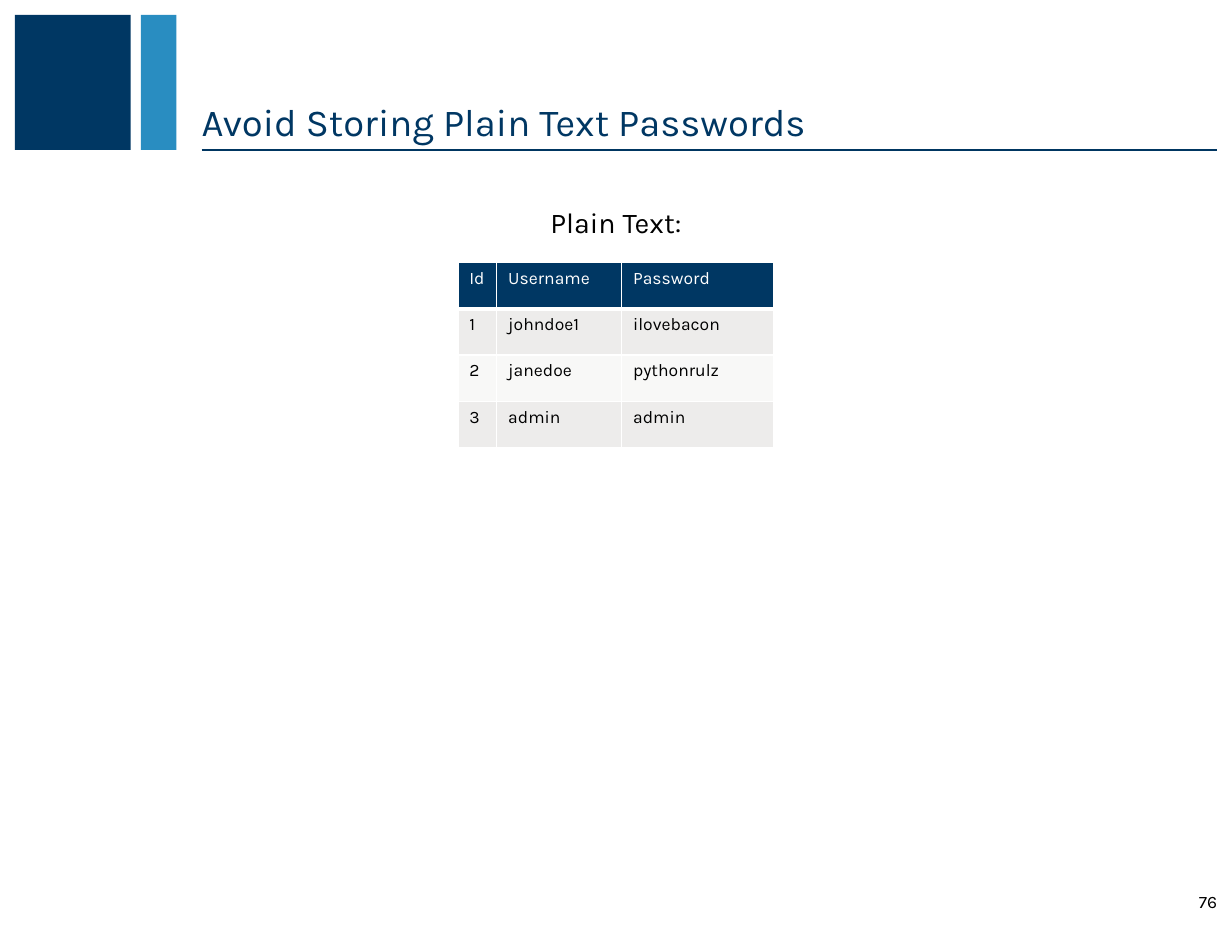
from lxml import etree
from pptx import Presentation
from pptx.dml.color import RGBColor
from pptx.enum.shapes import MSO_CONNECTOR, MSO_SHAPE
from pptx.enum.text import MSO_ANCHOR, MSO_AUTO_SIZE, PP_ALIGN
from pptx.oxml.ns import qn
from pptx.util import Inches, Pt

RECTANGLE = MSO_SHAPE.RECTANGLE
STRAIGHT = MSO_CONNECTOR.STRAIGHT
TOP, MIDDLE, BOTTOM = MSO_ANCHOR.TOP, MSO_ANCHOR.MIDDLE, MSO_ANCHOR.BOTTOM
LEFT, CENTER, RIGHT = PP_ALIGN.LEFT, PP_ALIGN.CENTER, PP_ALIGN.RIGHT
NO_AUTOFIT = MSO_AUTO_SIZE.NONE

FONT = "Karla"
COLORS = {
    "navy": "003763",
    "rule": "003661",
    "sky": "298DC1",
    "band_dark": "EDECEB",
    "band_light": "F8F8F7",
    "white": "FFFFFF",
    "black": "000000",
}
SLIDE_W, SLIDE_H = 10.75, 8.25
MARGIN = 0.13

USERS = [
    ("Id", "Username", "Password"),
    ("1", "johndoe1", "ilovebacon"),
    ("2", "janedoe", "pythonrulz"),
    ("3", "admin", "admin"),
]
COLUMN_WIDTHS = (0.34, 1.09, 1.33)
ROW_HEIGHT = 0.405


def color(name):
    return RGBColor.from_string(COLORS[name])


def inches(*lengths):
    return [Inches(length) for length in lengths]


def write(frame, text, size, ink, align=LEFT):
    paragraph = frame.paragraphs[0]
    paragraph.alignment = align
    run = paragraph.add_run()
    run.text = text
    run.font.name = FONT
    run.font.size = Pt(size)
    run.font.bold = False
    run.font.color.rgb = color(ink)


def set_frame(frame, anchor, top=0, bottom=0):
    frame.word_wrap = True
    frame.auto_size = NO_AUTOFIT
    frame.vertical_anchor = anchor
    frame.margin_left = frame.margin_right = 0
    frame.margin_top, frame.margin_bottom = inches(top, bottom)


def add_label(slide, box, text, size, align, anchor, bottom=0):
    label = slide.shapes.add_textbox(*inches(*box))
    set_frame(label.text_frame, anchor, bottom=bottom)
    write(label.text_frame, text, size, "black", align)


def add_header(slide, box, text):
    left, top, width, height = box

    # Colour blocks
    for offset, block_width, fill in ((0, 1.01, "navy"), (1.1, 0.31, "sky")):
        block = slide.shapes.add_shape(
            RECTANGLE, *inches(left + offset, top, block_width, height))
        block.shadow.inherit = False
        block.fill.solid()
        block.fill.fore_color.rgb = color(fill)
        block.line.fill.background()

    # Title
    indent = 1.63
    title = slide.shapes.title
    title.left, title.top, title.width, title.height = inches(
        left + indent, top, width - indent, height)
    set_frame(title.text_frame, BOTTOM, top=0.05, bottom=0.05)
    write(title.text_frame, text, 24, "navy")

    # Rule under the title
    base = top + height
    rule = slide.shapes.add_connector(
        STRAIGHT, *inches(left + indent, base, left + width, base))
    rule.line.color.rgb = color("rule")
    rule.line.width = Pt(1)
    etree.SubElement(rule._element.spPr, qn("a:effectLst"))


def set_borders(cell, bottom_width):
    properties = cell._tc.get_or_add_tcPr()
    widths = {"lnL": 1, "lnR": 1, "lnT": 1, "lnB": bottom_width}
    for side, width in widths.items():
        border = etree.SubElement(properties, qn(f"a:{side}"), w=str(Pt(width)))
        fill = etree.SubElement(border, qn("a:solidFill"))
        etree.SubElement(fill, qn("a:srgbClr"), val=COLORS["white"])


def add_user_table(slide, box):
    table = slide.shapes.add_table(
        len(USERS), len(COLUMN_WIDTHS), *inches(*box)).table
    for column, width in zip(table.columns, COLUMN_WIDTHS):
        column.width = Inches(width)
    for r, user in enumerate(USERS):
        table.rows[r].height = Inches(ROW_HEIGHT)
        is_head = r == 0
        band = "navy" if is_head else "band_dark" if r % 2 else "band_light"
        for c, value in enumerate(user):
            cell = table.cell(r, c)
            set_borders(cell, 3 if is_head else 1)
            cell.fill.solid()
            cell.fill.fore_color.rgb = color(band)
            write(cell.text_frame, value, 11, "white" if is_head else "black")


def add_example(slide, box):
    left, top, width, height = box
    add_label(slide, (left, top, width, 0.35), "Plain Text:", 18, CENTER, TOP)
    table_width = sum(COLUMN_WIDTHS)
    table_height = ROW_HEIGHT * len(USERS)
    add_user_table(slide, (left + (width - table_width) / 2,
                           top + height - table_height,
                           table_width, table_height))


def main():
    deck = Presentation()
    deck.slide_width, deck.slide_height = inches(SLIDE_W, SLIDE_H)
    slide = deck.slides.add_slide(deck.slide_layouts[5])
    add_header(slide, (MARGIN, MARGIN, SLIDE_W - 2 * MARGIN, 1.18),
               "Avoid Storing Plain Text Passwords")
    add_example(slide, (3.01, 1.79, 4.73, 2.12))
    # Page number
    add_label(slide, (SLIDE_W - MARGIN - 0.42, 7.75, 0.42, 0.27),
              "76", 11, RIGHT, MIDDLE, bottom=0.03)
    deck.save("out.pptx")


if __name__ == "__main__":
    main()
